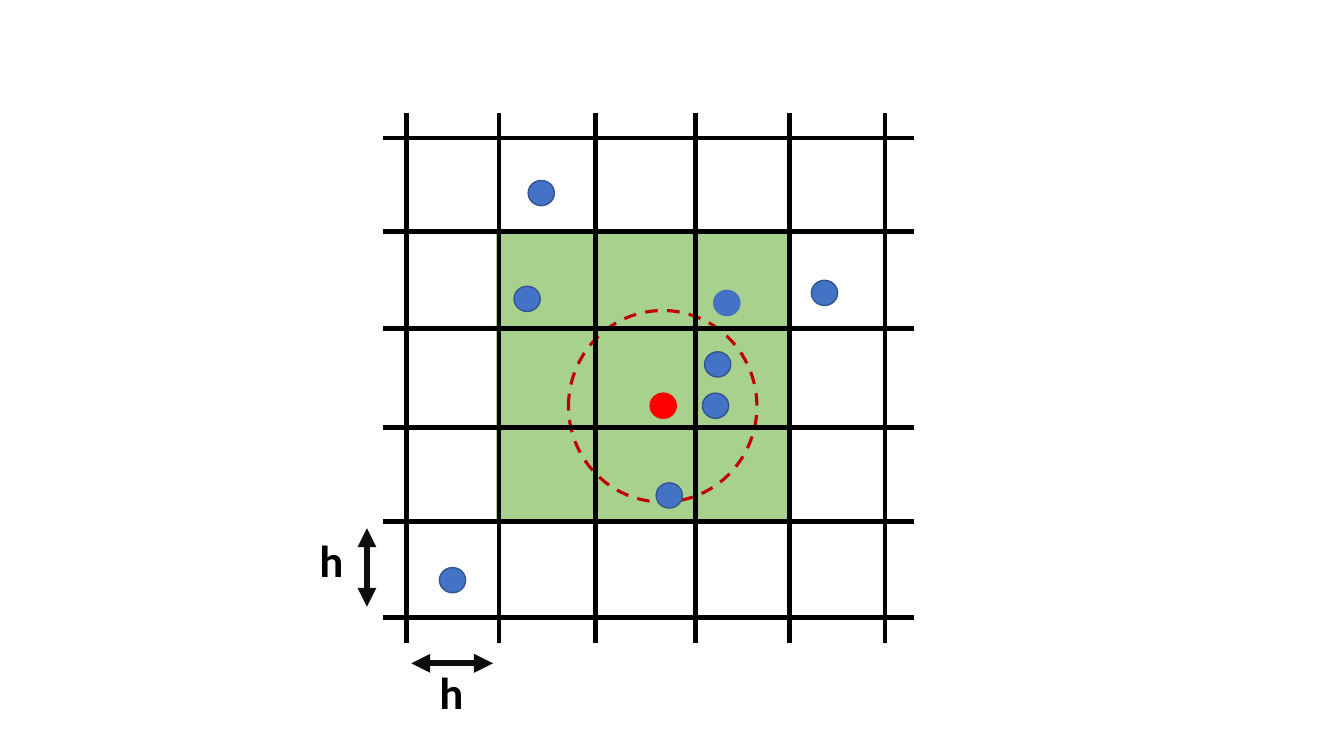
from lxml import etree
from pptx import Presentation
from pptx.dml.color import RGBColor
from pptx.enum.dml import MSO_LINE
from pptx.enum.shapes import MSO_CONNECTOR, MSO_SHAPE
from pptx.enum.text import MSO_AUTO_SIZE
from pptx.oxml.ns import qn
from pptx.util import Pt

STRAIGHT = MSO_CONNECTOR.STRAIGHT
RECTANGLE, OVAL = MSO_SHAPE.RECTANGLE, MSO_SHAPE.OVAL
DASH = MSO_LINE.DASH
GROW = MSO_AUTO_SIZE.SHAPE_TO_FIT_TEXT

COLORS = {
    "cell": "A9D18E", "radius": "C00000", "grid": "000000", "arrow": "0D0D0D",
    "point": "4472C4", "outline": "325491", "query": "FF0000",
}

deck = Presentation()
deck.slide_width, deck.slide_height = Pt(960), Pt(540)
page = deck.slides.add_slide(deck.slide_layouts[6])
diagram = page.shapes.add_group_shape().shapes


def add_figure(kind, left, top, width, height, line, fill=None, weight=1):
    figure = diagram.add_shape(kind, Pt(left), Pt(top), Pt(width), Pt(height))
    figure.shadow.inherit = False
    if fill:
        figure.fill.solid()
        figure.fill.fore_color.rgb = RGBColor.from_string(COLORS[fill])
    else:
        figure.fill.background()
    figure.line.color.rgb = RGBColor.from_string(COLORS[line])
    figure.line.width = Pt(weight)
    return figure


def add_line(x1, y1, x2, y2, color, weight, arrows=False):
    line = diagram.add_connector(STRAIGHT, Pt(x1), Pt(y1), Pt(x2), Pt(y2))
    line.line.color.rgb = RGBColor.from_string(COLORS[color])
    line.line.width = Pt(weight)
    properties = line._element.spPr
    etree.SubElement(properties, qn("a:effectLst"))
    if arrows:
        for end in ("a:headEnd", "a:tailEnd"):
            etree.SubElement(properties.find(qn("a:ln")), qn(end), type="triangle")


# Neighbouring cells and search radius
add_figure(RECTANGLE, 355, 167, 206.6, 204.5, "cell", "cell")
radius = add_figure(OVAL, 406.1, 221.8, 134.6, 136.8, "radius", weight=2.25)
radius.line.dash_style = DASH

# Grid lines
for x in (290.2, 356.4, 425.5, 496.8, 563.8, 632.2):
    add_line(x, 80.6, x, 459.4, "grid", 3.5)
for y in (98.6, 165.6, 234.7, 305.3, 372.2, 441.4):
    add_line(653, y, 273.6, y, "grid", 3.5)

# Points, with the query point in red
points = [
    (377.3, 128.9, "point", "outline"),
    (367.2, 204.5, "point", "outline"),
    (464.4, 280.8, "query", "query"),
    (503.3, 251.3, "point", "outline"),
    (501.8, 280.8, "point", "outline"),
    (468.7, 344.9, "point", "outline"),
    (579.6, 200.2, "point", "outline"),
    (313.9, 405.4, "point", "outline"),
    (509.8, 207.4, "point", "point"),
]
for left, top, fill, line in points:
    add_figure(OVAL, left, top, 18.7, 18, line, fill)

# Cell size arrows
add_line(262.1, 377.3, 262.1, 433.4, "arrow", 4.5, arrows=True)
add_line(352.1, 473.8, 293.8, 473.8, "arrow", 4.5, arrows=True)

# Cell size labels
for left, top in ((221, 377.3), (306.7, 470.9)):
    box = diagram.add_textbox(Pt(left), Pt(top), Pt(51), Pt(46))
    box.text_frame.word_wrap = True
    box.text_frame.auto_size = GROW
    span = box.text_frame.paragraphs[0].add_run()
    span.text = "h"
    span.font.name = "Calibri"
    span.font.size = Pt(32)
    span.font.bold = True
    span.font.color.rgb = RGBColor.from_string(COLORS["grid"])

deck.save("out.pptx")
